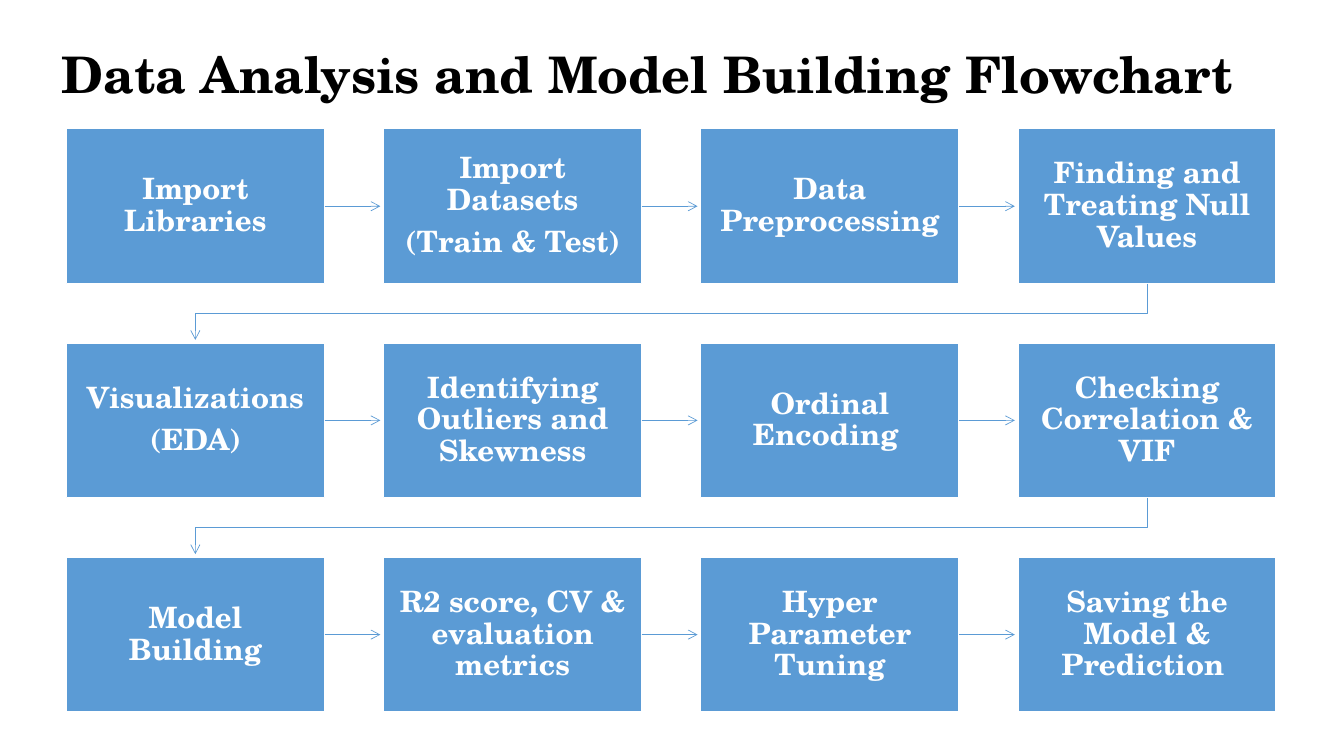
from dataclasses import dataclass
from itertools import pairwise

from pptx import Presentation
from pptx.dml.color import RGBColor as RGB
from pptx.enum.shapes import MSO_CONNECTOR as LINE, MSO_SHAPE as SHAPE
from pptx.enum.text import MSO_ANCHOR as ANCHOR, PP_ALIGN as ALIGN
from pptx.oxml.ns import qn
from pptx.util import Pt
from lxml.etree import SubElement


@dataclass(frozen=True)
class Theme:
    font: str = "TeX Gyre Schola"
    ink: RGB = RGB(0, 0, 0)
    paper: RGB = RGB(0xFF, 0xFF, 0xFF)
    accent: RGB = RGB(0x5B, 0x9B, 0xD5)
    title_size: int = 36
    step_size: int = 21


@dataclass(frozen=True)
class Box:
    left: float
    top: float
    width: float
    height: float

    @property
    def center_x(self):
        return self.left + self.width / 2

    @property
    def center_y(self):
        return self.top + self.height / 2

    @property
    def right(self):
        return self.left + self.width

    @property
    def bottom(self):
        return self.top + self.height

    def lengths(self):
        return [Pt(v) for v in (self.left, self.top, self.width, self.height)]


THEME = Theme()
TITLE = "Data Analysis and Model Building Flowchart"
STAGES = [
    ["Import Libraries", "Import Datasets\n(Train & Test)",
     "Data Preprocessing", "Finding and Treating Null Values"],
    ["Visualizations\n(EDA)", "Identifying Outliers and Skewness",
     "Ordinal Encoding ", "Checking Correlation & VIF"],
    ["Model Building", "R2 score, CV & evaluation metrics",
     "Hyper Parameter Tuning", "Saving the Model & Prediction "],
]
STEP_WIDTH, STEP_HEIGHT = 184.5, 110.6
ARROW_GAP = 2.2  # space between an arrowhead and the next step


def apply(target, formats):
    for name, value in formats.items():
        setattr(target, name, value)


def write(frame, text, size, color, **paragraph_formats):
    frame.text = text
    for paragraph in frame.paragraphs:
        apply(paragraph, paragraph_formats)
        apply(paragraph.font, {"name": THEME.font, "size": Pt(size), "bold": True})
        paragraph.font.color.rgb = color


def style_arrow(arrow):
    arrow.line.color.rgb = THEME.accent
    arrow.line.width = Pt(0.5)
    line = arrow.line._get_or_add_ln()
    SubElement(line, qn("a:tailEnd"), type="arrow")


def add_title(slide, box):
    title = slide.shapes.add_textbox(*box.lengths())
    title.text_frame.word_wrap = True
    write(title.text_frame, TITLE, THEME.title_size, THEME.ink)


def add_step(slide, box, label):
    step = slide.shapes.add_shape(SHAPE.RECTANGLE, *box.lengths())
    step.shadow.inherit = False
    step.fill.solid()
    step.fill.fore_color.rgb = THEME.accent
    step.line.color.rgb = THEME.paper
    step.line.width = Pt(1)
    margins = {f"margin_{side}": Pt(11.5) for side in ("left", "top", "right", "bottom")}
    apply(step.text_frame, {"word_wrap": True, "vertical_anchor": ANCHOR.MIDDLE, **margins})
    write(step.text_frame, label, THEME.step_size, THEME.paper,
          alignment=ALIGN.CENTER, line_spacing=0.9, space_after=Pt(7.4))
    return step


def add_step_arrow(slide, step, box, following):
    arrow = slide.shapes.add_connector(
        LINE.STRAIGHT, Pt(box.right), Pt(box.center_y),
        Pt(following.left - ARROW_GAP), Pt(box.center_y))
    arrow.begin_connect(step, 3)
    style_arrow(arrow)
    SubElement(arrow._element.spPr, qn("a:effectLst"))


def add_row_turn(slide, last, first):
    """Lead from the last step of a row to the first of the next."""
    middle = (last.bottom + first.top) / 2
    builder = slide.shapes.build_freeform(Pt(last.center_x), Pt(last.bottom))
    corners = [(last.center_x, middle), (first.center_x, middle),
               (first.center_x, first.top - ARROW_GAP)]
    builder.add_line_segments([(Pt(x), Pt(y)) for x, y in corners], close=False)
    turn = builder.convert_to_shape()
    turn.fill.background()
    style_arrow(turn)
    turn.shadow.inherit = False


def add_flowchart(slide, area):
    # Equal gaps between columns and rows
    pitch_x = (area.width - STEP_WIDTH) / (len(STAGES[0]) - 1)
    pitch_y = (area.height - STEP_HEIGHT) / (len(STAGES) - 1)
    grid = [[Box(area.left + column * pitch_x, area.top + row * pitch_y,
                 STEP_WIDTH, STEP_HEIGHT) for column in range(len(labels))]
            for row, labels in enumerate(STAGES)]

    # Steps and the arrows along each row
    for boxes, labels in zip(grid, STAGES):
        steps = [add_step(slide, box, label) for box, label in zip(boxes, labels)]
        for step, (box, following) in zip(steps, pairwise(boxes)):
            add_step_arrow(slide, step, box, following)

    # Turns between rows
    for upper, lower in pairwise(grid):
        add_row_turn(slide, upper[-1], lower[0])


def main():
    deck = Presentation()
    deck.slide_width, deck.slide_height = Pt(960), Pt(540)
    slide = deck.slides.add_slide(deck.slide_layouts[6])
    add_title(slide, Box(36.7, 27.4, 891.4, 72.7))
    add_flowchart(slide, Box(47.3, 92, 864.3, 416.6))
    deck.save("out.pptx")


if __name__ == "__main__":
    main()
